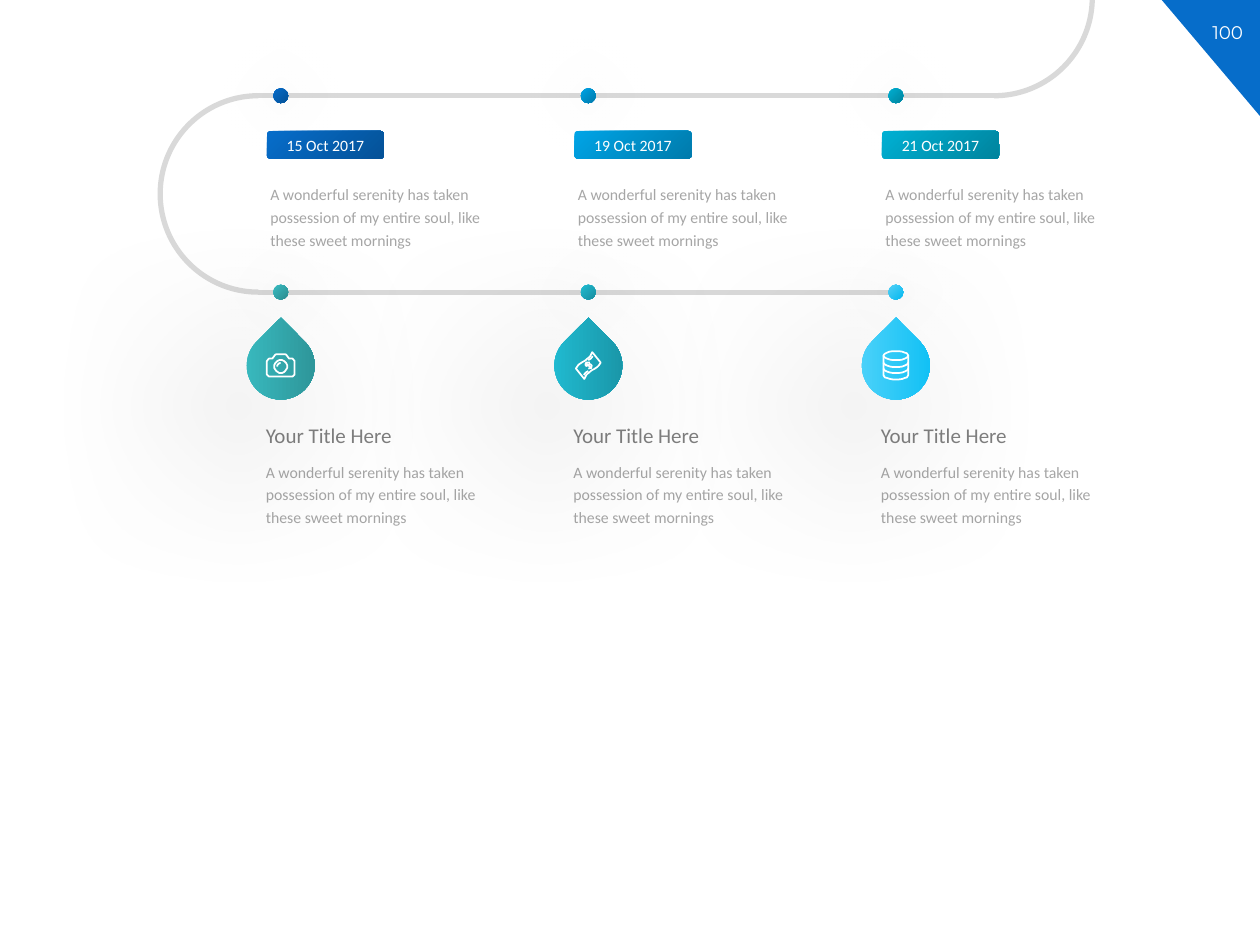
"""Build a serpentine timeline slide with three dated events and three topics."""
from math import cos, radians, sin

from lxml import etree
from pptx import Presentation
from pptx.dml.color import RGBColor
from pptx.enum.shapes import MSO_CONNECTOR, MSO_SHAPE
from pptx.enum.text import MSO_ANCHOR, PP_ALIGN
from pptx.oxml.ns import qn
from pptx.util import Cm, Pt

ARC, OVAL = MSO_SHAPE.ARC, MSO_SHAPE.OVAL
BADGE, DROP = MSO_SHAPE.ROUNDED_RECTANGLE, MSO_SHAPE.TEAR
TRIANGLE = MSO_SHAPE.RIGHT_TRIANGLE
STRAIGHT = MSO_CONNECTOR.STRAIGHT
LEFT, CENTER, MIDDLE = PP_ALIGN.LEFT, PP_ALIGN.CENTER, MSO_ANCHOR.MIDDLE

THEME = {
    "font": "Calibri", "number_font": "Montserrat",
    "corner": "066DCA", "track": "D9D9D9", "white": "FFFFFF",
    "heading": "808080", "body": "A6A6A6", "shadow": "000000",
    "heading_size": 12, "body_size": 9, "number_size": 10.5,
    "track_width": 3, "icon_width": 1,
    "dates": [("066DCA", "055298"), ("00A4E6", "007BAC"), ("00B0D3", "00849E")],
    "topics": [("3ABFC4", "2C8F93"), ("21C0D7", "1990A1"), ("55D4FA", "07BEF4")],
}
DATES = ["15 Oct 2017", "19 Oct 2017", "21 Oct 2017"]
HEADING = "Your Title Here"
DETAIL = ("A wonderful serenity has taken possession of my entire soul, "
          "like these sweet mornings")
FIRST_X, PITCH = 5.66, 6.2
UPPER_Y, LOWER_Y, DROP_Y = 1.93, 5.89, 7.37
BEND, DOT, DROP_SIZE = LOWER_Y - UPPER_Y, 0.3, 1.37

prs = Presentation()
prs.slide_width, prs.slide_height = Cm(25.4), Cm(19.05)
slide = prs.slides.add_slide(prs.slide_layouts[6])
shapes = slide.shapes


def add_gradient(kind, x, y, width, height, colors, blur=0, distance=0):
    """Add a diagonal gradient shape, with a soft shadow when blur is given."""
    shape = shapes.add_shape(kind, Cm(x), Cm(y), Cm(width), Cm(height))
    shape.fill.gradient()
    shape.fill.gradient_angle = 315
    for stop, color in zip(shape.fill.gradient_stops, colors):
        stop.color.rgb = RGBColor.from_string(color)
    shape.line.fill.background()
    shape.shadow.inherit = False
    if blur:
        effects = shape._element.spPr.find(qn("a:effectLst"))
        shadow = etree.SubElement(
            effects, qn("a:outerShdw"), blurRad=str(Pt(blur)), dist=str(Pt(distance)),
            dir="8100000" if distance else "0", algn="ctr", rotWithShape="0")
        tone = etree.SubElement(shadow, qn("a:srgbClr"), val=THEME["shadow"])
        etree.SubElement(tone, qn("a:alpha"), val="40000")
    return shape


def write(shape, text, size, color, font=THEME["font"], align=LEFT, spacing=1.0):
    """Fill a shape with one formatted paragraph."""
    shape.text_frame.word_wrap = True
    paragraph = shape.text_frame.paragraphs[0]
    paragraph.text = text
    paragraph.alignment = align
    paragraph.line_spacing = spacing
    paragraph.font.name, paragraph.font.size = font, Pt(size)
    paragraph.font.color.rgb = RGBColor.from_string(color)


corner = shapes.add_shape(TRIANGLE, Cm(23.42), Cm(0), Cm(1.98), Cm(2.34))
corner.rotation = 180
corner.fill.solid()
corner.fill.fore_color.rgb = RGBColor.from_string(THEME["corner"])
corner.line.fill.background()
corner.shadow.inherit = False
page_number = shapes.add_textbox(Cm(24.1), Cm(0.3), Cm(1.3), Cm(0.71))
write(page_number, "100", THEME["number_size"], THEME["white"],
      THEME["number_font"], CENTER)

for y, end in [(LOWER_Y, 18.19), (UPPER_Y, 20.07)]:
    track = shapes.add_connector(STRAIGHT, Cm(5.21), Cm(y), Cm(end), Cm(y))
    track.line.color.rgb = RGBColor.from_string(THEME["track"])
    track.line.width = Pt(THEME["track_width"])
    etree.SubElement(track._element.spPr, qn("a:effectLst"))
for x, y, start, stop in [(3.23, UPPER_Y, 54, 162), (18.06, UPPER_Y - BEND, 0, 54)]:
    bend = shapes.add_shape(ARC, Cm(x), Cm(y), Cm(BEND), Cm(BEND))
    bend.adjustments[0], bend.adjustments[1] = start, stop
    bend.fill.background()
    bend.line.color.rgb = RGBColor.from_string(THEME["track"])
    bend.line.width = Pt(THEME["track_width"])
    bend.shadow.inherit = False

lens = [(13 * cos(radians(a)), 2 + 13 * sin(radians(a))) for a in range(0, 360, 15)]
glint = [(7 * cos(radians(a)), 2 + 7 * sin(radians(a))) for a in range(180, 271, 15)]
body = [(-24, 22), (-28, 18), (-28, -9), (-24, -14), (-17, -14), (-11, -22),
        (-8, -23), (8, -23), (11, -22), (17, -14), (24, -14), (28, -9),
        (28, 18), (24, 22)]
camera = [(body, True), (lens, True), (glint, False)]

steps = [n / 12 for n in range(13)]
edge = [tuple((1 - t) ** 3 * a + 3 * t * (1 - t) ** 2 * b + 3 * t * t * (1 - t) * c
              + t ** 3 * d for a, b, c, d in [(-25, -20, 3, 8), (6, -9, -9, -27)])
        for t in steps]
dollar = [(3, -6), (-4, -6), (-6, -2), (-4, 1), (0, -1), (4, -3), (7, 0), (6, 5), (0, 6)]
tick = [(-9, 19), (-5, 14), (0, 11)]
banknote = [(edge + [(-x, -y) for x, y in edge], True), (dollar, False),
            ([(-5, -5), (6, 5)], False), (tick, False),
            ([(-x, -y) for x, y in tick], False)]

rim = [(25 * cos(radians(a)), 9 * sin(radians(a))) for a in range(0, 360, 15)]
bowl = rim[:13]
database = [([(x, y - 20) for x, y in rim], True),
            ([(25, -20)] + [(x, y + 19) for x, y in bowl] + [(-25, -20)], False)]
for depth in (-6, 6):
    database.append(([(x, y + depth) for x, y in bowl], False))
for depth in (-3, 8, 20):
    database.append(([(15.5, depth), (16.5, depth)], False))

for column, icon in enumerate([camera, banknote, database]):
    x = FIRST_X + column * PITCH
    date_colors, topic_colors = THEME["dates"][column], THEME["topics"][column]
    for y, colors in [(UPPER_Y, date_colors), (LOWER_Y, topic_colors)]:
        add_gradient(OVAL, x - DOT / 2, y - DOT / 2, DOT, DOT, colors, 48)

    badge = add_gradient(BADGE, x - 0.28, 2.64, 2.36, 0.56, date_colors)
    badge.adjustments[0] = 0.12
    badge.text_frame.vertical_anchor = MIDDLE
    write(badge, DATES[column], THEME["body_size"], THEME["white"], align=CENTER)

    for left, top in [(x - 0.46, 3.53), (x - 0.55, 9.12)]:
        detail = shapes.add_textbox(Cm(left), Cm(top), Cm(5), Cm(1.65))
        write(detail, DETAIL, THEME["body_size"], THEME["body"], spacing=1.2)
    heading = shapes.add_textbox(Cm(x - 0.55), Cm(8.46), Cm(3.84), Cm(0.99))
    write(heading, HEADING, THEME["heading_size"], THEME["heading"], spacing=0.9)

    drop = add_gradient(DROP, x - DROP_SIZE / 2, DROP_Y - DROP_SIZE / 2,
                        DROP_SIZE, DROP_SIZE, topic_colors, 100, 34)
    drop.rotation = 315.3
    for points, closed in icon:
        outline = shapes.build_freeform(*points[0], scale=Cm(0.01))
        outline.add_line_segments(points[1:], close=closed)
        stroke = outline.convert_to_shape(Cm(x), Cm(DROP_Y))
        stroke.fill.background()
        stroke.line.color.rgb = RGBColor.from_string(THEME["white"])
        stroke.line.width = Pt(THEME["icon_width"])
        stroke.shadow.inherit = False

prs.save("out.pptx")
